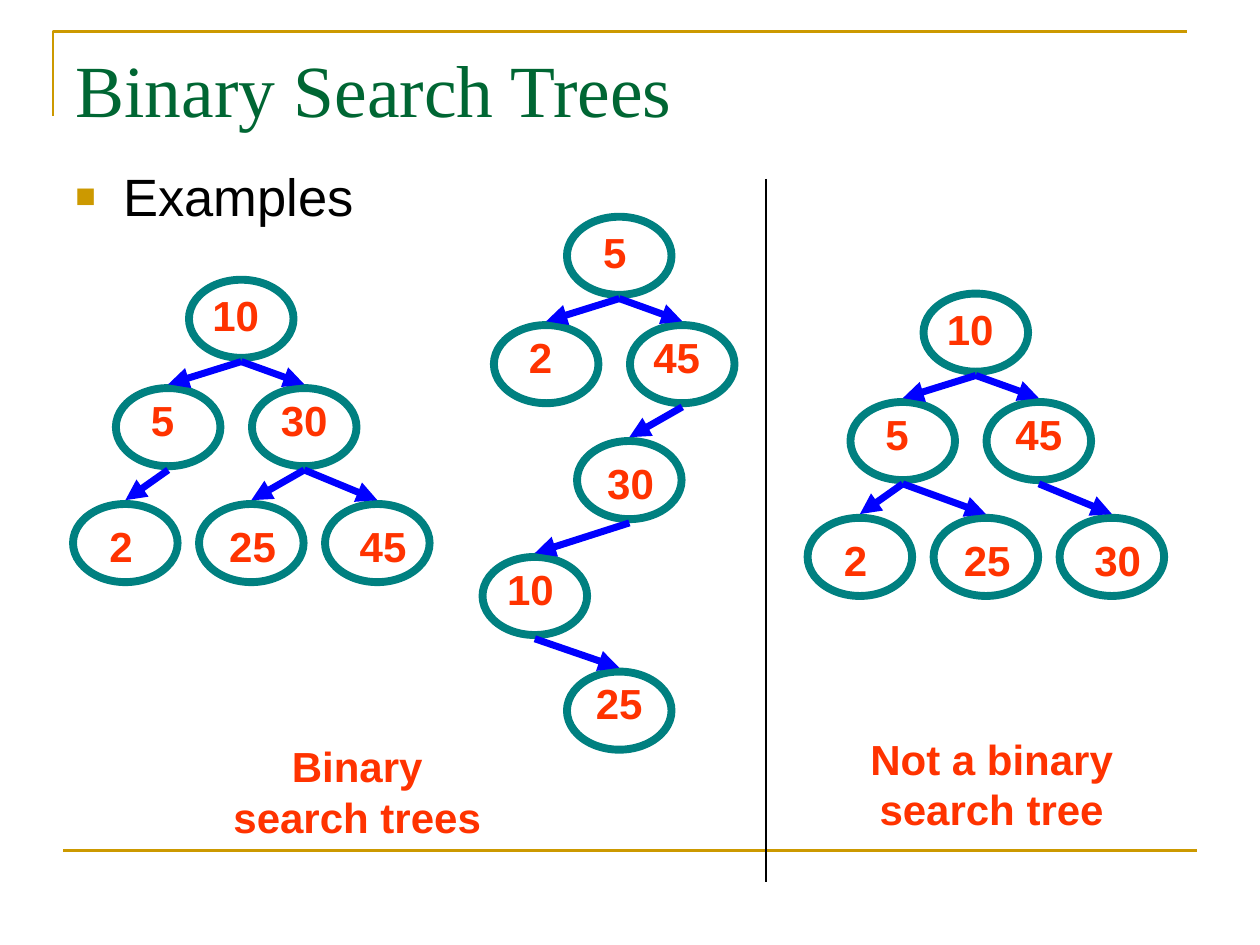
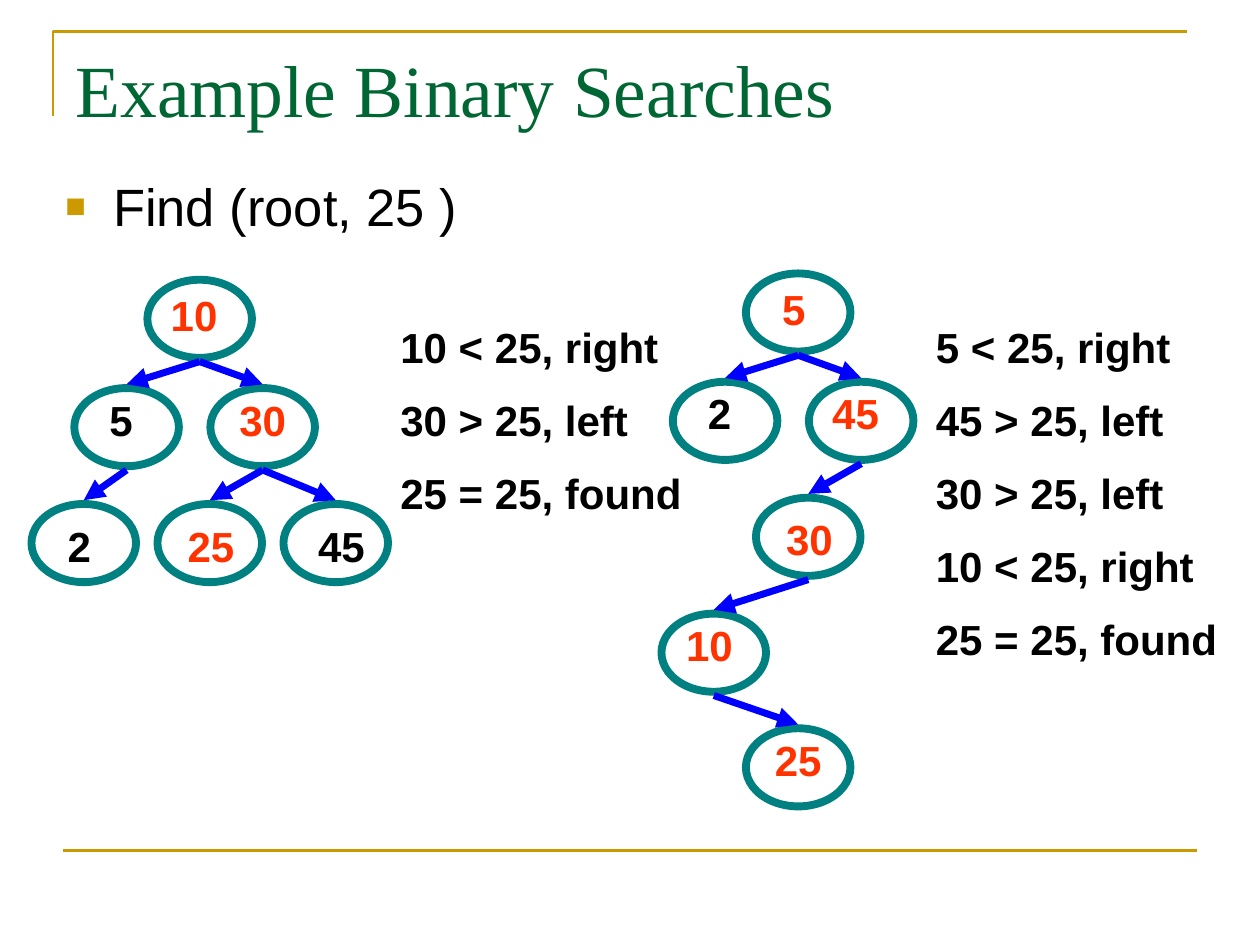
from dataclasses import dataclass
from typing import NamedTuple, Optional

from lxml.etree import SubElement
from pptx import Presentation
from pptx.dml.color import RGBColor
from pptx.enum.shapes import MSO_CONNECTOR, MSO_SHAPE
from pptx.enum.text import MSO_ANCHOR, MSO_AUTO_SIZE, PP_ALIGN
from pptx.oxml.ns import qn
from pptx.util import Inches, Pt

COLORS = {
    "gold": "CC9900",
    "title": "006633",
    "ring": "008080",
    "arrow": "0000FF",
    "red": "FF3300",
    "black": "000000",
}
TITLE_FONT = {"name": "Times New Roman", "size": Pt(42), "bold": False}
BODY_FONT = {"name": "Arial", "size": Pt(30), "bold": False}
LABEL_FONT = {"name": "Arial", "size": Pt(24), "bold": True}

NODE_WIDTH, NODE_HEIGHT = 0.83, 0.62
ARROW_GAP = 0.03
LABEL_HEIGHT = 0.5


class Box(NamedTuple):
    left: float
    top: float
    width: float
    height: float


@dataclass(frozen=True)
class Node:
    """Place of a node relative to the root, and of its label in the node."""
    key: str
    parent: Optional[str]
    left: float
    top: float
    label_left: float
    label_top: float
    label_width: float


@dataclass(frozen=True)
class Tree:
    left: float
    top: float
    nodes: tuple[Node, ...]
    unvisited: tuple[str, ...] = ()


# Node layouts
def balanced_nodes(right: str, last: str, parent_of_25: str) -> tuple[Node, ...]:
    return (
        Node("10", None, 0, 0, 0.08, 0.03, 0.58),
        Node("5", "10", -0.58, 0.86, 0.16, 0, 0.42),
        Node(right, "10", 0.5, 0.86, 0.08, 0, 0.67),
        Node("2", "5", -0.92, 1.78, 0.17, 0.08, 0.42),
        Node("25", parent_of_25, 0.08, 1.78, 0.09, 0.08, 0.67),
        Node(last, right, 1.08, 1.78, 0.17, 0.08, 0.58),
    )


SEARCH_TREE = balanced_nodes("30", "45", "30")
BROKEN_TREE = balanced_nodes("45", "30", "5")
DEEP_TREE = (
    Node("5", None, 0, 0, 0.17, 0.03, 0.42),
    Node("2", "5", -0.58, 0.86, 0.16, 0, 0.42),
    Node("45", "5", 0.5, 0.86, 0.08, 0, 0.58),
    Node("30", "45", 0.08, 1.78, 0.09, 0.08, 0.67),
    Node("10", "30", -0.67, 2.7, 0.09, 0, 0.58),
    Node("25", "10", 0, 3.61, 0.08, 0, 0.67),
)


def rgb(color: str) -> RGBColor:
    return RGBColor.from_string(COLORS[color])


def format_font(font, values: dict, color: str) -> None:
    for name, value in values.items():
        setattr(font, name, value)
    font.color.rgb = rgb(color)


def format_line(line, color: str, width: float) -> None:
    line.color.rgb = rgb(color)
    line.width = Pt(width)


def add_line(slide, start: tuple, end: tuple, color: str, width: float,
             arrow: bool = False) -> None:
    points = [Inches(value) for value in (*start, *end)]
    connector = slide.shapes.add_connector(MSO_CONNECTOR.STRAIGHT, *points)
    format_line(connector.line, color, width)
    properties = connector.element.spPr
    if arrow:
        SubElement(properties.find(qn("a:ln")), qn("a:tailEnd"), type="triangle")
    SubElement(properties, qn("a:effectLst"))


def add_text(slide, box: Box, lines: list[str], color: str, font: dict = LABEL_FONT,
             alignment=PP_ALIGN.CENTER, space: float = 0, bullet: bool = False) -> None:
    shape = slide.shapes.add_textbox(*map(Inches, box))
    frame = shape.text_frame
    frame.word_wrap = True
    frame.auto_size = MSO_AUTO_SIZE.NONE if bullet else MSO_AUTO_SIZE.SHAPE_TO_FIT_TEXT
    for index, line in enumerate(lines):
        paragraph = frame.paragraphs[0] if index == 0 else frame.add_paragraph()
        paragraph.text = line
        paragraph.alignment = alignment
        if index:
            paragraph.space_before = Pt(space)
        if bullet:
            add_bullet(paragraph)
        format_font(paragraph.font, font, color)


def add_bullet(paragraph) -> None:
    properties = paragraph._p.get_or_add_pPr()
    properties.set("marL", str(Inches(0.38)))
    properties.set("indent", str(-Inches(0.38)))
    color = SubElement(properties, qn("a:buClr"))
    SubElement(color, qn("a:srgbClr"), val=COLORS["gold"])
    SubElement(properties, qn("a:buSzPct"), val="65000")
    SubElement(properties, qn("a:buFont"), typeface="Arial")
    SubElement(properties, qn("a:buChar"), char="■")


def add_tree(slide, tree: Tree) -> None:
    places = {node.key: (tree.left + node.left, tree.top + node.top)
              for node in tree.nodes}
    # Rings
    for left, top in places.values():
        ring = slide.shapes.add_shape(
            MSO_SHAPE.OVAL, Inches(left), Inches(top),
            Inches(NODE_WIDTH), Inches(NODE_HEIGHT))
        ring.shadow.inherit = False
        ring.fill.background()
        format_line(ring.line, "ring", 4.5)
    # Arrows and keys
    for node in tree.nodes:
        left, top = places[node.key]
        if node.parent:
            parent_left, parent_top = places[node.parent]
            start = (parent_left + NODE_WIDTH / 2, parent_top + NODE_HEIGHT + ARROW_GAP)
            end = (left + NODE_WIDTH / 2, top - ARROW_GAP)
            add_line(slide, start, end, "arrow", 4, arrow=True)
        box = Box(left + node.label_left, top + node.label_top,
                  node.label_width, LABEL_HEIGHT)
        add_text(slide, box, [node.key], "black" if node.key in tree.unvisited else "red")


def add_titled_slide(presentation, title: str, topic: str, topic_box: Box):
    slide = presentation.slides.add_slide(presentation.slide_layouts[5])
    # Gold frame
    builder = slide.shapes.build_freeform(Inches(0.42), Inches(0.92))
    builder.add_line_segments(
        [(Inches(0.42), Inches(0.25)), (Inches(9.42), Inches(0.25))], close=False)
    bracket = builder.convert_to_shape()
    bracket.shadow.inherit = False
    bracket.fill.background()
    format_line(bracket.line, "gold", 1.5)
    add_line(slide, (0.5, 6.75), (9.5, 6.75), "gold", 1.5)
    # Title and topic
    shape = slide.shapes.title
    shape.left, shape.top, shape.width, shape.height = map(Inches, (0.5, 0.3, 9, 1.25))
    shape.text_frame.text = title
    shape.text_frame.vertical_anchor = MSO_ANCHOR.TOP
    paragraph = shape.text_frame.paragraphs[0]
    paragraph.alignment = PP_ALIGN.LEFT
    format_font(paragraph.font, TITLE_FONT, "title")
    add_text(slide, topic_box, [topic], "black", BODY_FONT, PP_ALIGN.LEFT, bullet=True)
    return slide


def add_examples_slide(presentation) -> None:
    slide = add_titled_slide(presentation, "Binary Search Trees", "Examples",
                             Box(0.5, 1.25, 9, 4.95))
    for tree in (Tree(1.5, 2.22, SEARCH_TREE), Tree(7.33, 2.33, BROKEN_TREE),
                 Tree(4.5, 1.72, DEEP_TREE)):
        add_tree(slide, tree)
    add_text(slide, Box(1.67, 5.83, 2.33, 0.9), ["Binary search trees"], "red")
    add_text(slide, Box(6.58, 5.77, 2.58, 0.9), ["Not a binary search tree"], "red")
    add_line(slide, (6.08, 1.42), (6.08, 7), "black", 1)


def add_searches_slide(presentation) -> None:
    slide = add_titled_slide(presentation, "Example Binary Searches", "Find (root, 25 )",
                             Box(0.42, 1.33, 9, 4.95))
    add_tree(slide, Tree(1.17, 2.22, SEARCH_TREE, unvisited=("5", "2", "45")))
    add_tree(slide, Tree(5.92, 2.17, DEEP_TREE, unvisited=("2",)))
    # Search steps
    searches = (
        (Box(3.08, 2.5, 2.5, 1.7),
         ["10 < 25, right", "30 > 25, left", "25 = 25, found"]),
        (Box(7.33, 2.5, 2.5, 2.9),
         ["5 < 25, right", "45 > 25, left", "30 > 25, left",
          "10 < 25, right", "25 = 25, found"]),
    )
    for box, steps in searches:
        add_text(slide, box, steps, "black", alignment=PP_ALIGN.LEFT, space=13)


def main() -> None:
    presentation = Presentation()
    presentation.slide_width, presentation.slide_height = Inches(10), Inches(7.5)
    add_examples_slide(presentation)
    add_searches_slide(presentation)
    presentation.save("out.pptx")


if __name__ == "__main__":
    main()
